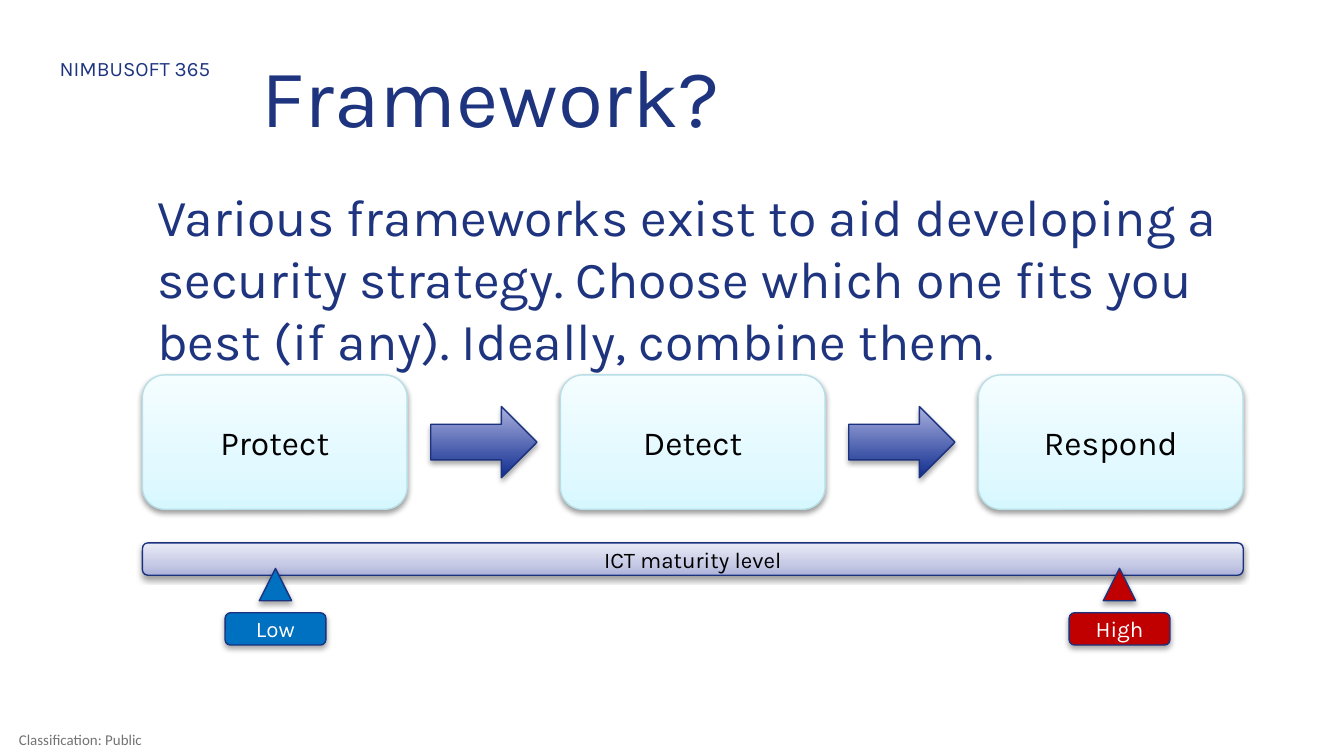
from lxml import etree
from pptx import Presentation, util as u
from pptx.dml.color import RGBColor
from pptx.enum import shapes, text
from pptx.oxml.ns import qn

Inches, Pt = u.Inches, u.Pt
Shape, Anchor, Align = shapes.MSO_SHAPE, text.MSO_ANCHOR, text.PP_ALIGN

# Content
HEADER = "NIMBUSOFT 365"
FOOTER = "Classification: Public"
TITLE = "Framework?"
BODY = ("Various frameworks exist to aid developing a security strategy. "
        "Choose which one fits you best (if any). Ideally, combine them.")
STAGES = ["Protect", "Detect", "Respond"]
SCALE = "ICT maturity level"
MARKERS = [("Low", 2.05, "low"), ("High", 8.33, "high")]  # label, centre, fill

THEME = {
    "font": "Karla", "footer_font": "Calibri",
    "navy": "1E347F", "grey": "737373", "black": "000000", "white": "FFFFFF",
    "outline": "1B327F", "card_outline": "B8DEE6",
    "low": "0070C0", "high": "C00000",
    # Gradient stops run from bottom to top
    "card": [(0, "D7F7FF"), (35, "E2F9FF"), (100, "F4FDFF")],
    "arrow": [(0, "0F2C8E"), (100, "AAB0DF")],
    "scale": [(0, "AEB3DB"), (35, "C7CAE5"), (100, "E9EBF6")],
    "title_size": 44, "body_size": 27.8, "card_size": 18,
    "label_size": 12, "header_size": 11, "footer_size": 8,
}

# Layout, in inches
SLIDE_WIDTH = 10
SLIDE_HEIGHT = SLIDE_WIDTH * 9 / 16
LEFT, WIDTH = 1.06, 8.19
CARD_TOP, CARD_WIDTH, CARD_HEIGHT = 2.79, 1.97, 1
ARROW_WIDTH, ARROW_HEIGHT = 0.79, 0.53
BAR_HEIGHT = 0.24
SCALE_TOP, POINTER_TOP, LABEL_TOP, LABEL_WIDTH = 4.04, 4.23, 4.56, 0.75

presentation = Presentation()
presentation.slide_width = Inches(SLIDE_WIDTH)
presentation.slide_height = Inches(SLIDE_HEIGHT)
slide = presentation.slides.add_slide(presentation.slide_layouts[6])


def write(shape, words, size, color, align=Align.LEFT, anchor=Anchor.MIDDLE,
          font="font"):
    frame = shape.text_frame
    frame.text = words
    frame.word_wrap = True
    frame.vertical_anchor = anchor
    paragraph = frame.paragraphs[0]
    paragraph.alignment = align
    run_font = paragraph.runs[0].font
    run_font.name = THEME[font]
    run_font.size = Pt(THEME[size])
    run_font.color.rgb = RGBColor.from_string(THEME[color])
    return frame


def add_text(box, words, *style, **options):
    shape = slide.shapes.add_textbox(*map(Inches, box))
    return write(shape, words, *style, **options)


def add_color(parent, value):
    return etree.SubElement(parent, qn("a:srgbClr"), val=value)


def add_gradient(shape, stops):
    shape.fill.gradient()
    shape.fill.gradient_angle = 90
    stop_list = shape._element.spPr.find(".//" + qn("a:gsLst"))
    for old in list(stop_list):
        stop_list.remove(old)
    for position, color in stops:
        add_color(etree.SubElement(stop_list, qn("a:gs"),
                                   pos=str(position * 1000)), color)


def add_shadow(shape, opacity, distance):
    shape.shadow.inherit = False
    effects = shape._element.spPr.find(qn("a:effectLst"))
    shadow = etree.SubElement(
        effects, qn("a:outerShdw"), blurRad=str(Pt(3.1)),
        dist=str(Pt(distance)), dir="5400000", rotWithShape="0")
    etree.SubElement(add_color(shadow, THEME["black"]), qn("a:alpha"),
                     val=str(opacity * 1000))


def add_block(kind, box, fill, outline="outline", soft=False):
    shape = slide.shapes.add_shape(kind, *map(Inches, box))
    if isinstance(THEME[fill], list):
        add_gradient(shape, THEME[fill])
    else:
        shape.fill.solid()
        shape.fill.fore_color.rgb = RGBColor.from_string(THEME[fill])
    shape.line.color.rgb = RGBColor.from_string(THEME[outline])
    shape.line.width = Pt(0.75)
    add_shadow(shape, *((38, 1.6) if soft else (35, 1.8)))
    return shape


# Header and footer
add_text((0.2, 0.37, 1.61, 0.29), HEADER, "header_size", "navy",
         align=Align.CENTER, anchor=Anchor.TOP)
footer = add_text((0, 5.38, 1.19, 0.25), FOOTER, "footer_size", "grey",
                  font="footer_font")
footer.margin_left = Inches(0.14)
footer.margin_right = footer.margin_top = footer.margin_bottom = 0
footer.word_wrap = False

# Title and body
add_text((1.85, 0.29, 7.64, 0.94), TITLE, "title_size", "navy",
         anchor=Anchor.TOP)
body = add_text((LEFT, 1.33, WIDTH, 3.89), BODY, "body_size", "navy",
                anchor=Anchor.TOP)
body.margin_left, body.margin_top = Inches(0.11), Inches(0.04)

# Stages, with an arrow centred in each gap
pitch = (WIDTH - CARD_WIDTH) / (len(STAGES) - 1)
for index, stage in enumerate(STAGES):
    left = LEFT + index * pitch
    card = add_block(Shape.ROUNDED_RECTANGLE,
                     (left, CARD_TOP, CARD_WIDTH, CARD_HEIGHT),
                     "card", "card_outline", soft=True)
    write(card, stage, "card_size", "black", Align.CENTER)
    if index:
        add_block(Shape.RIGHT_ARROW,
                  (left - (pitch - CARD_WIDTH + ARROW_WIDTH) / 2,
                   CARD_TOP + (CARD_HEIGHT - ARROW_HEIGHT) / 2,
                   ARROW_WIDTH, ARROW_HEIGHT), "arrow")

# Maturity scale
scale = add_block(Shape.ROUNDED_RECTANGLE, (LEFT, SCALE_TOP, WIDTH, BAR_HEIGHT),
                  "scale", soft=True)
write(scale, SCALE, "label_size", "black", Align.CENTER)

# Pointers and their labels
for words, centre, fill in MARKERS:
    add_block(Shape.FLOWCHART_EXTRACT,
              (centre - BAR_HEIGHT / 2, POINTER_TOP, BAR_HEIGHT, BAR_HEIGHT), fill)
    label = add_block(Shape.ROUNDED_RECTANGLE,
                      (centre - LABEL_WIDTH / 2, LABEL_TOP, LABEL_WIDTH, BAR_HEIGHT),
                      fill)
    write(label, words, "label_size", "white", Align.CENTER)

presentation.save("out.pptx")
